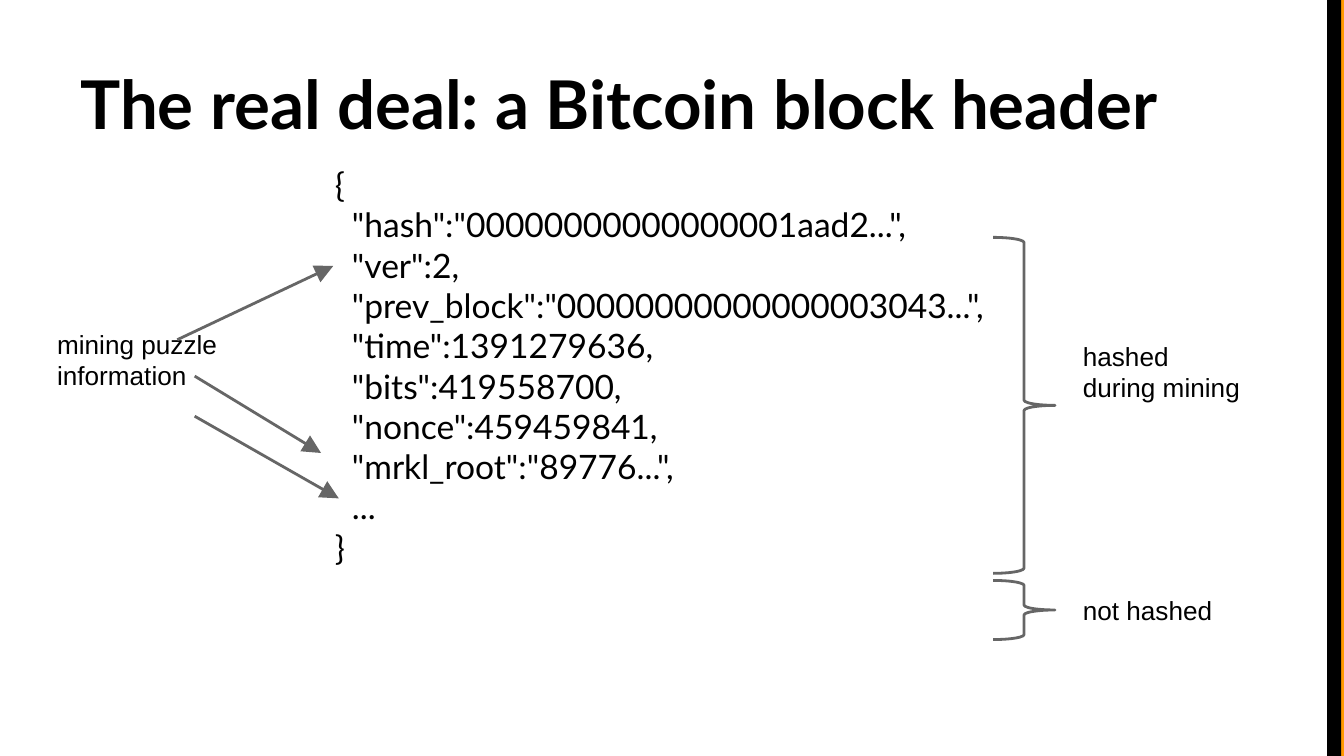
from lxml import etree
from pptx import Presentation
from pptx.dml.color import RGBColor
from pptx.enum.shapes import MSO_CONNECTOR, MSO_SHAPE
from pptx.enum.text import MSO_ANCHOR
from pptx.oxml.ns import qn
from pptx.util import Pt

STRAIGHT = MSO_CONNECTOR.STRAIGHT
RECTANGLE, BRACE = MSO_SHAPE.RECTANGLE, MSO_SHAPE.RIGHT_BRACE
TOP, BOTTOM = MSO_ANCHOR.TOP, MSO_ANCHOR.BOTTOM
BLACK = RGBColor(0x00, 0x00, 0x00)
ORANGE = RGBColor(0xFF, 0x99, 0x00)
GRAY = RGBColor(0x66, 0x66, 0x66)

prs = Presentation()
prs.slide_width, prs.slide_height = Pt(720), Pt(405)
s = prs.slides.add_slide(prs.slide_layouts[6])


def add_text(lines, x, y, w, h, font, size, bold=False, anchor=TOP):
    tf = s.shapes.add_textbox(Pt(x), Pt(y), Pt(w), Pt(h)).text_frame
    tf.word_wrap = True
    tf.vertical_anchor = anchor
    tf.margin_left = tf.margin_right = tf.margin_top = tf.margin_bottom = Pt(7.2)
    for i, line in enumerate(lines):
        p = tf.paragraphs[0] if i == 0 else tf.add_paragraph()
        p.text = line
        p.font.name, p.font.size, p.font.bold = font, Pt(size), bold
        p.font.color.rgb = BLACK


# Bars on the right edge
for x, color in ((718.5, ORANGE), (711, BLACK)):
    bar = s.shapes.add_shape(RECTANGLE, Pt(x), 0, Pt(7.5), Pt(405))
    bar.shadow.inherit = False
    bar.fill.solid()
    bar.fill.fore_color.rgb = color
    bar.line.fill.background()

# Title
add_text(["The real deal: a Bitcoin block header"],
         36, 16.2, 648, 67.5, "Lato", 36, bold=True, anchor=BOTTOM)

# Block header code
add_text([
    '{',
    '  "hash":"00000000000000001aad2...",',
    '  "ver":2,',
    '  "prev_block":"00000000000000003043...",',
    '  "time":1391279636,',
    '  "bits":419558700,',
    '  "nonce":459459841,',
    '  "mrkl_root":"89776...",',
    '  ...',
    '}',
], 172.3, 80.6, 648, 324.4, "Lato", 18)

# Labels
for label, x, y in (("mining puzzle information", 23.5, 168.5),
                    ("hashed during mining", 573, 175),
                    ("not hashed", 573, 311)):
    add_text([label], x, y, 100.8, 67.5, "Arial", 14)

# Arrows from the mining label to its fields
for x1, y1, x2, y2 in ((95, 182, 178.5, 142.5),
                       (104.3, 201.5, 172, 242.7),
                       (104.3, 223, 181.5, 267)):
    arrow = s.shapes.add_connector(STRAIGHT, Pt(x1), Pt(y1), Pt(x2), Pt(y2))
    arrow.line.color.rgb = GRAY
    arrow.line.width = Pt(1.5)
    etree.SubElement(arrow.line._get_or_add_ln(), qn("a:tailEnd"),
                     type="triangle", w="lg", len="lg")
    etree.SubElement(arrow._element.spPr, qn("a:effectLst"))

# Braces for the hashed and unhashed parts
for y, h in ((127.2, 180), (311, 31.7)):
    brace = s.shapes.add_shape(BRACE, Pt(532), Pt(y), Pt(33.2), Pt(h))
    brace.shadow.inherit = False
    brace.fill.background()
    brace.line.color.rgb = GRAY
    brace.line.width = Pt(1.5)

prs.save("out.pptx")
